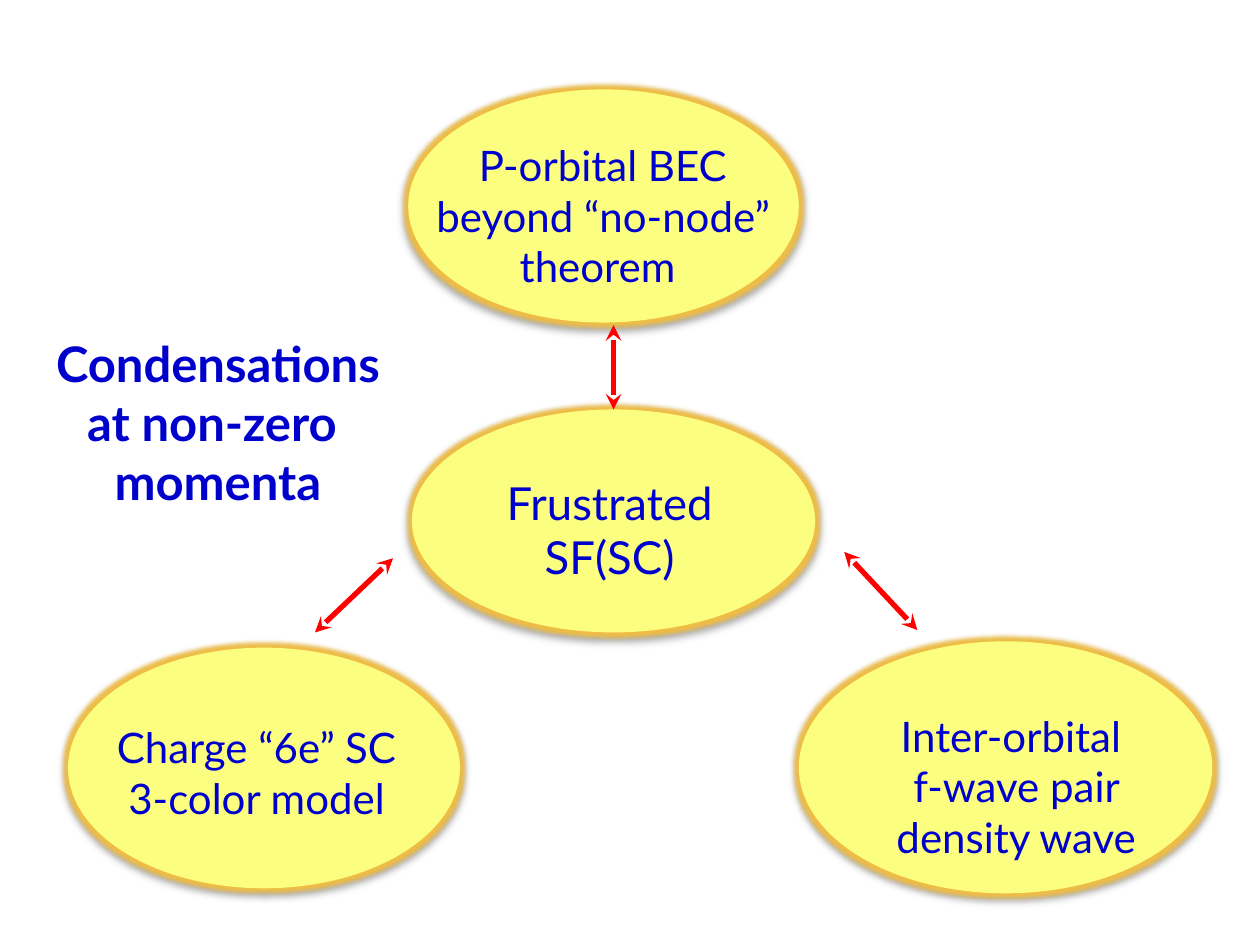
from typing import NamedTuple

from lxml import etree
from pptx import Presentation
from pptx import util as u
from pptx.dml.color import RGBColor
from pptx.enum import shapes, text
from pptx.oxml import parse_xml
from pptx.oxml.ns import nsdecls, qn

FONT = "Lato"
BLUE, RED, YELLOW, GOLD = "0000CC", "FF0000", "FBFE7E", "EFBD45"


class Box(NamedTuple):
    left: float
    top: float
    width: float
    height: float

    def lengths(self) -> list:
        return [u.Pt(value) for value in self]


class Label(NamedTuple):
    box: Box
    size: float
    paragraphs: list[str]
    bold: bool = False


class Arrow(NamedTuple):
    start: tuple[float, float]
    end: tuple[float, float]


ELLIPSES = [
    Box(38.9, 370.1, 223.9, 137.5),
    Box(456.5, 366.5, 236.2, 144),
    Box(233.3, 51.1, 223.2, 133.2),
    Box(235.4, 234, 230.4, 127.4),
]
LABELS = [
    Label(Box(477.4, 402.5, 206.6, 94.3), 24,
          ["Inter-orbital ", "f-wave pair density wave"]),
    Label(Box(249.8, 267.8, 197.3, 70.6), 26, ["Frustrated SF(SC)"]),
    Label(Box(238.3, 76.3, 212.4, 94.3), 24,
          ["P-orbital BEC", "beyond “no-node” theorem "]),
    Label(Box(45.4, 409, 202.3, 65.5), 24, ["Charge “6e” SC", "3-color model"]),
    Label(Box(12.2, 187.2, 224.6, 108.7), 28,
          ["Condensations at non-zero ", "momenta"], bold=True),
]
ARROWS = [
    Arrow((350.6, 234), (350.6, 185.8)),
    Arrow((180, 361.4), (224.6, 319)),
    Arrow((524.2, 360), (482.4, 315.4)),
]


def color(value: str) -> RGBColor:
    return RGBColor.from_string(value)


def add_ellipse(slide, box: Box) -> None:
    """Add a yellow ellipse with a gold glow and a soft shadow below."""
    ellipse = slide.shapes.add_shape(shapes.MSO_SHAPE.OVAL, *box.lengths())
    ellipse.fill.solid()
    ellipse.fill.fore_color.rgb = color(YELLOW)
    ellipse.line.fill.background()
    ellipse._element.spPr.append(parse_xml(
        f'<a:effectLst {nsdecls("a")}>'
        f'<a:glow rad="{u.Pt(5)}"><a:srgbClr val="{GOLD}"/></a:glow>'
        f'<a:outerShdw blurRad="{u.Pt(3.5)}" dist="{u.Pt(2.2)}" dir="5400000" '
        'rotWithShape="0"><a:srgbClr val="000000"><a:alpha val="32000"/>'
        '</a:srgbClr></a:outerShdw></a:effectLst>'))


def add_label(slide, label: Label) -> None:
    frame = slide.shapes.add_textbox(*label.box.lengths()).text_frame
    frame.word_wrap = True
    frame.auto_size = text.MSO_AUTO_SIZE.SHAPE_TO_FIT_TEXT
    frame.text = "\n".join(label.paragraphs)
    for paragraph in frame.paragraphs:
        paragraph.alignment = text.PP_ALIGN.CENTER
        paragraph.font.name = FONT
        paragraph.font.size = u.Pt(label.size)
        paragraph.font.bold = label.bold
        paragraph.font.color.rgb = color(BLUE)


def add_arrow(slide, arrow: Arrow) -> None:
    """Add a red line with a stealth head at both ends."""
    connector = slide.shapes.add_connector(
        shapes.MSO_CONNECTOR.STRAIGHT,
        *[u.Pt(value) for value in arrow.start + arrow.end])
    connector.line.width = u.Pt(3)
    connector.line.color.rgb = color(RED)
    properties = connector._element.spPr
    for end in ("a:headEnd", "a:tailEnd"):
        etree.SubElement(properties.find(qn("a:ln")), qn(end), type="stealth")
    etree.SubElement(properties, qn("a:effectLst"))


def main() -> None:
    presentation = Presentation()
    presentation.slide_width, presentation.slide_height = u.Pt(720), u.Pt(540)
    slide = presentation.slides.add_slide(presentation.slide_layouts[6])
    for box in ELLIPSES:
        add_ellipse(slide, box)
    for label in LABELS:
        add_label(slide, label)
    for arrow in ARROWS:
        add_arrow(slide, arrow)
    presentation.save("out.pptx")


if __name__ == "__main__":
    main()
